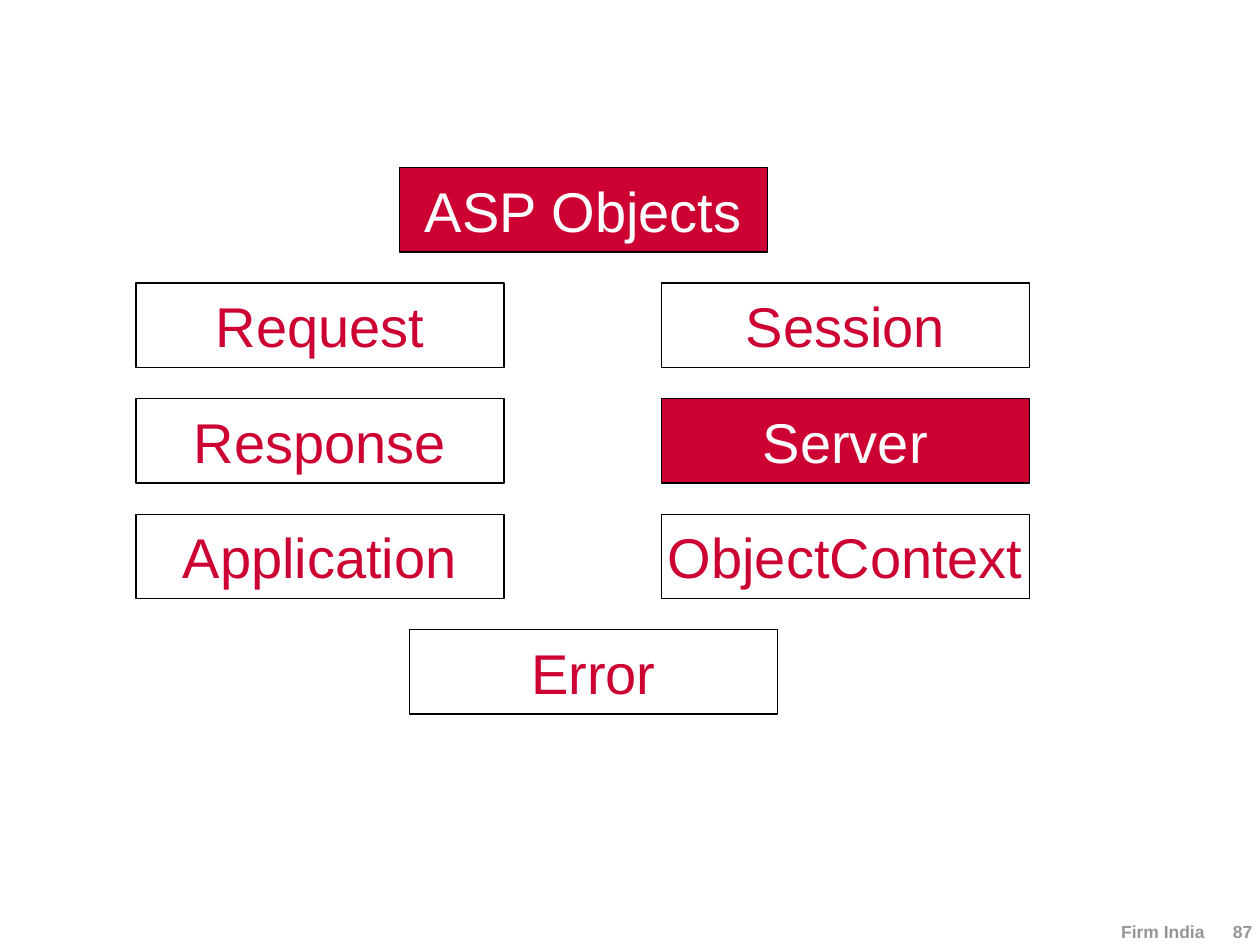
"""Build the ASP objects overview slide."""
from dataclasses import dataclass

from lxml.etree import SubElement
from pptx import Presentation
from pptx.dml.color import RGBColor
from pptx.enum.shapes import MSO_SHAPE
from pptx.enum.text import MSO_ANCHOR, MSO_AUTO_SIZE, PP_ALIGN
from pptx.oxml.ns import qn
from pptx.util import Inches, Pt


@dataclass(frozen=True)
class Theme:
    """Hold colours, type sizes and line width."""
    red: RGBColor = RGBColor(0xCC, 0x00, 0x33)
    white: RGBColor = RGBColor(0xFF, 0xFF, 0xFF)
    black: RGBColor = RGBColor(0x00, 0x00, 0x00)
    gray: RGBColor = RGBColor(0x96, 0x96, 0x96)
    face: str = "Arial"
    label: Pt = Pt(32)
    small: Pt = Pt(10)
    rule: Pt = Pt(0.75)


@dataclass(frozen=True)
class Box:
    """Describe one labelled box."""
    text: str
    left: float
    row: int
    solid: bool = False


THEME = Theme()
WIDE, HIGH = 2.92, 0.67
TOP, STEP = 1.33, 0.917
LEFT, RIGHT = 1.08, 5.25
TITLE = Box("ASP Objects", 3.17, 0, True)
BOXES = [
    Box("Request", LEFT, 1),
    Box("Response", LEFT, 2),
    Box("Application", LEFT, 3),
    Box("Session", RIGHT, 1),
    Box("Server", RIGHT, 2, True),
    Box("ObjectContext", RIGHT, 3),
    Box("Error", 3.25, 4),
]


def apply(item: object, values: dict) -> None:
    """Set each named value on an item."""
    for name, value in values.items():
        setattr(item, name, value)


def style(font: object, size: Pt, color: RGBColor, bold: bool) -> None:
    """Format a font."""
    apply(font, {"name": THEME.face, "size": size, "bold": bold})
    font.color.rgb = color


def draw(shape: object, box: Box) -> None:
    """Place, paint and label a box."""
    apply(shape, {
        "left": Inches(box.left), "top": Inches(TOP + box.row * STEP),
        "width": Inches(WIDE), "height": Inches(HIGH),
    })
    if box.solid:
        shape.fill.solid()
        shape.fill.fore_color.rgb = THEME.red
    else:
        shape.fill.background()
    shape.line.color.rgb = THEME.black
    shape.line.width = THEME.rule
    frame = shape.text_frame
    apply(frame, {
        "text": box.text, "word_wrap": False,
        "auto_size": MSO_AUTO_SIZE.NONE,
        "vertical_anchor": MSO_ANCHOR.MIDDLE,
    })
    para = frame.paragraphs[0]
    para.alignment = PP_ALIGN.CENTER
    color = THEME.white if box.solid else THEME.red
    style(para.runs[0].font, THEME.label, color, False)


def footer(slide: object, name: str, page: int) -> None:
    """Add the footer name and page number on right tabs."""
    shape = slide.shapes.add_textbox(
        Inches(6.01), Inches(7.31), Inches(3.94), Inches(0.17))
    frame = shape.text_frame
    apply(frame, {
        "margin_left": 0, "margin_right": 0,
        "margin_top": 0, "margin_bottom": 0,
        "word_wrap": True, "vertical_anchor": MSO_ANCHOR.BOTTOM,
    })
    para = frame.paragraphs[0]
    para.alignment = PP_ALIGN.LEFT
    props = para._p.get_or_add_pPr()
    tabs = SubElement(props, qn("a:tabLst"))
    for stop in (3.55, 3.93):
        SubElement(tabs, qn("a:tab"), pos=str(Inches(stop)), algn="r")
    run = para.add_run()
    run.text = f"\t{name}\t{page}"
    style(run.font, THEME.small, THEME.gray, True)


def main() -> None:
    """Build and save the deck."""
    deck = Presentation()
    apply(deck, {"slide_width": Inches(10), "slide_height": Inches(7.5)})
    slide = deck.slides.add_slide(deck.slide_layouts[5])
    footer(slide, "Firm India", 87)
    draw(slide.shapes.title, TITLE)
    for box in BOXES:
        shape = slide.shapes.add_shape(MSO_SHAPE.RECTANGLE, 0, 0, 0, 0)
        shape.shadow.inherit = False
        draw(shape, box)
    deck.save("out.pptx")


if __name__ == "__main__":
    main()
